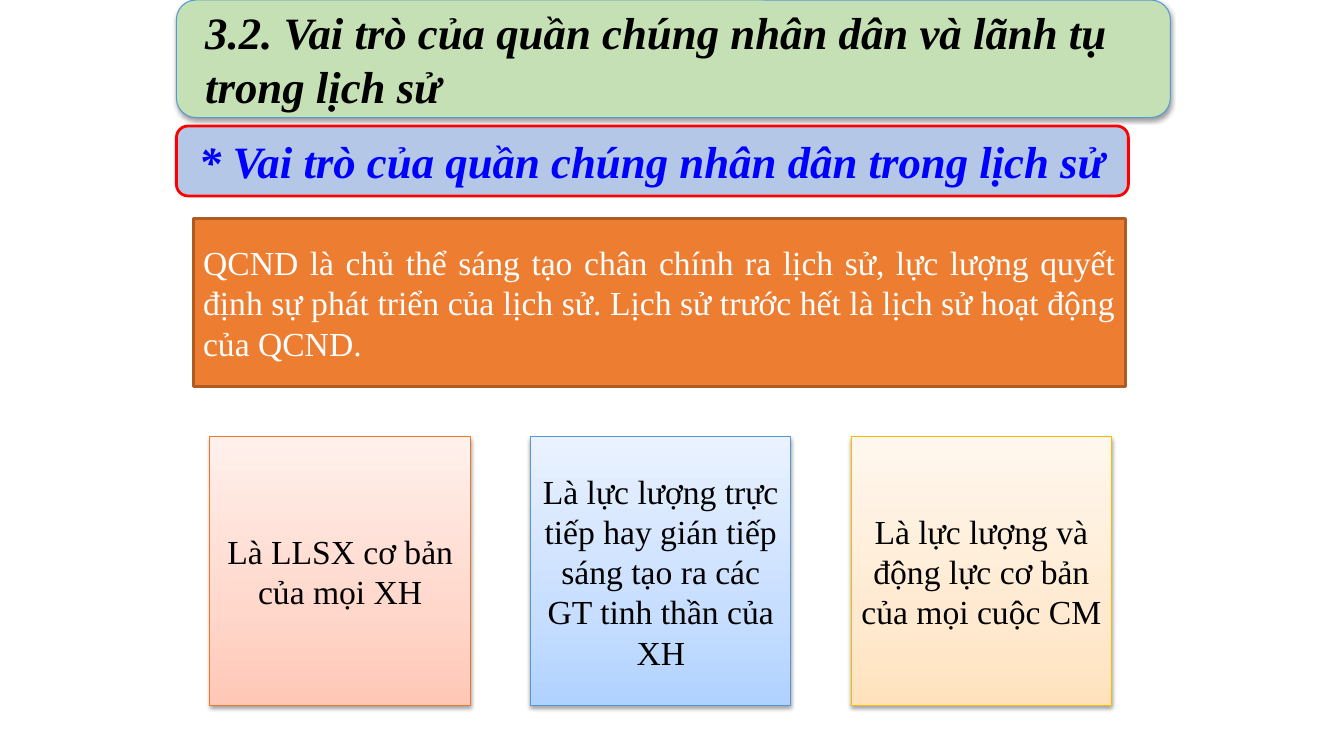
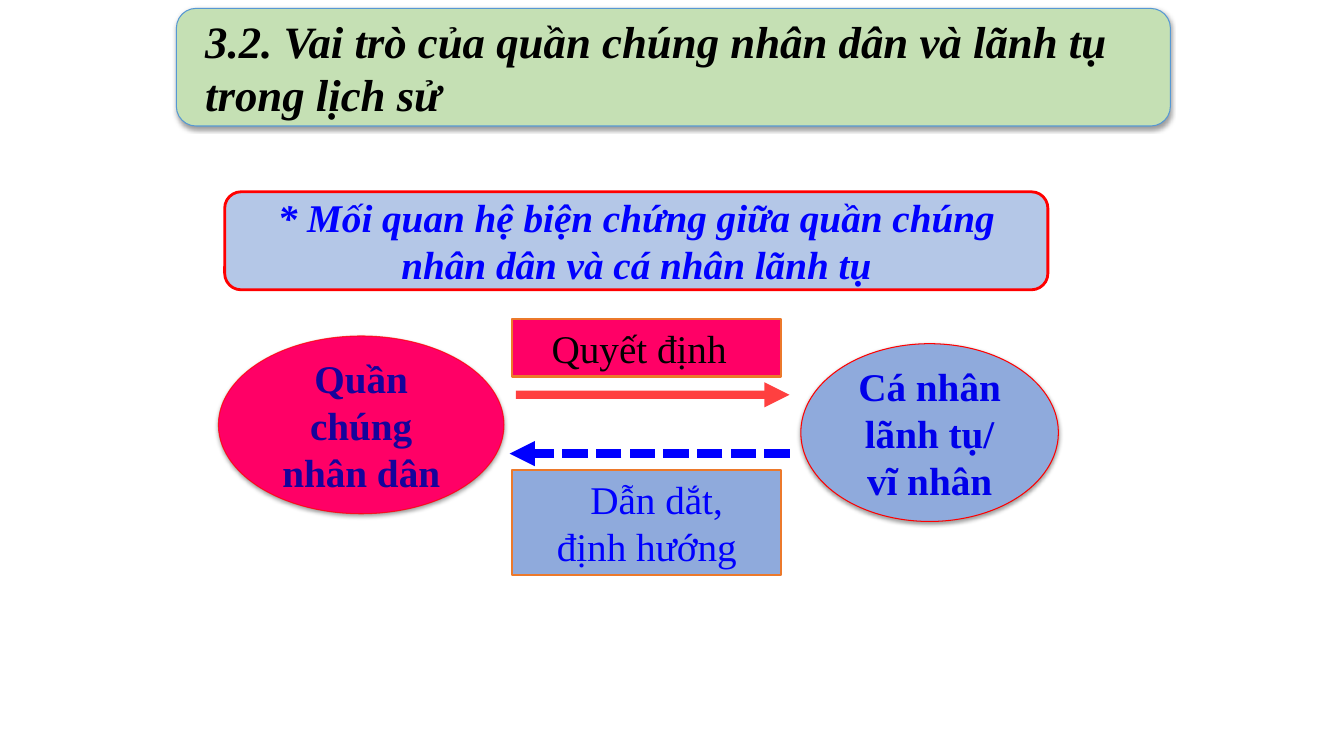
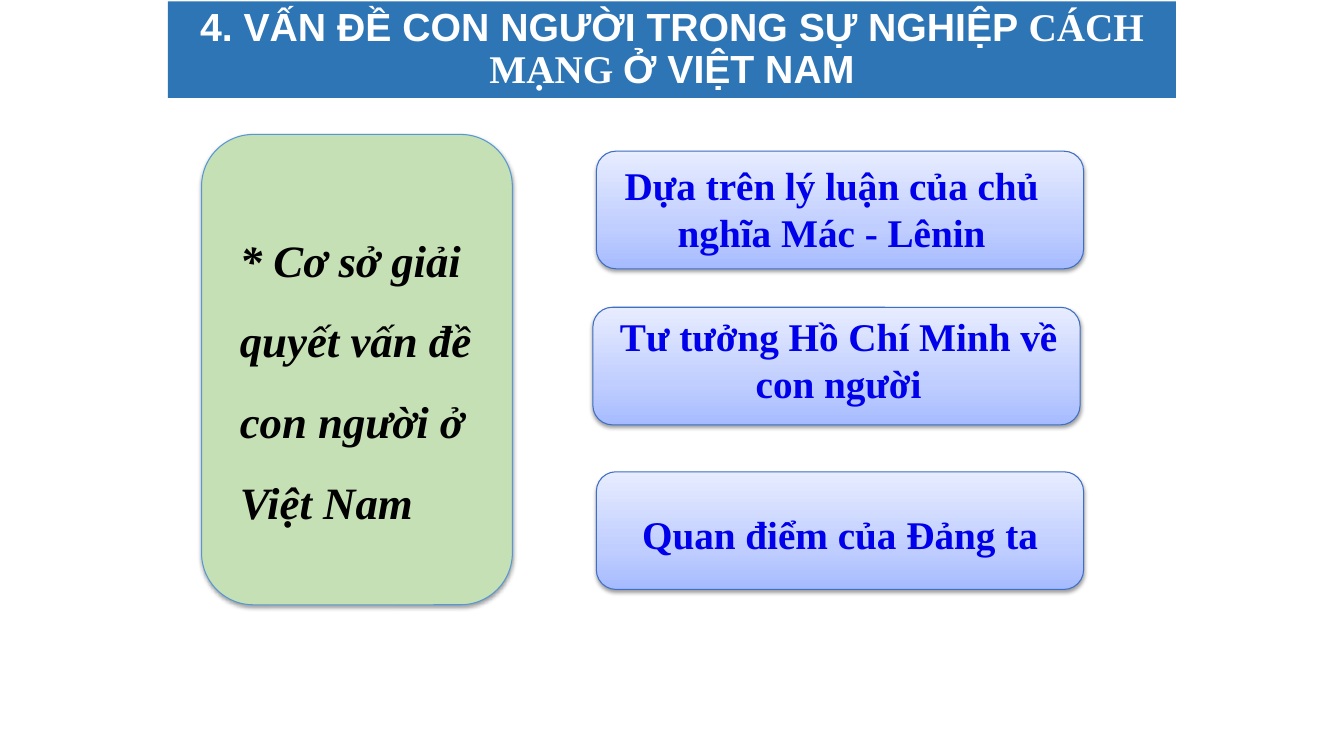
from copy import deepcopy

from pptx import Presentation
from pptx.dml.color import RGBColor
from pptx.enum.dml import MSO_LINE
from pptx.enum.shapes import MSO_CONNECTOR, MSO_SHAPE as PRESET
from pptx.enum.text import MSO_ANCHOR as ANCHOR, PP_ALIGN as ALIGN
from pptx.oxml import parse_xml
from pptx.oxml.ns import nsdecls, qn
from pptx.util import Pt

SERIF = "Times New Roman"
GREEN, PALE_BLUE, MID_BLUE, PINK = "C5E0B4", "B4C7E7", "8FAADC", "FF0066"
RED, BLUE, DEEP_BLUE, SKY, ORANGE = "FF0000", "0000FF", "0000EA", "5698D3", "EC792B"
BLACK, WHITE = "000000", "FFFFFF"
LAVENDER = ("A6BBFF", "C0CEFF", "E7ECFF")
STOPS = (0, 0.35, 1)

SHADOW = (f'<a:effectLst {nsdecls("a")}><a:outerShdw blurRad="40000" dist="20000" '
          'dir="5400000" rotWithShape="0"><a:srgbClr val="000000">'
          '<a:alpha val="38000"/></a:srgbClr></a:outerShdw></a:effectLst>')
FAINT = f'<a:alpha {nsdecls("a")} val="74000"/>'
ARROWHEAD = f'<a:tailEnd {nsdecls("a")} type="triangle"/>'

PLAIN = {"size": Pt(24)}
LARGE = {"size": Pt(28)}
STRONG = {"size": Pt(28), "bold": True}
HEADING = {"size": Pt(32), "bold": True, "italic": True}
CENTERED = {"alignment": ALIGN.CENTER}
LEFT = {"alignment": ALIGN.LEFT}
TOP = {"vertical_anchor": ANCHOR.TOP}
HEADING_INSETS = {"margin_left": Pt(16.5), "margin_right": Pt(16.5),
                  "margin_top": 0, "margin_bottom": 0}

rgb = RGBColor.from_string


def add_box(slide, preset, at, fill, line=None, width=0.75, shadow=False):
    """Add a shape; a tuple as fill gives a gradient rising from the bottom."""
    box = slide.shapes.add_shape(preset, *map(Pt, at))
    box.shadow.inherit = False
    if isinstance(fill, tuple):
        box.fill.gradient()
        box.fill.gradient_angle = 90
        stops = box.element.spPr.find(qn("a:gradFill")).find(qn("a:gsLst"))
        stops.append(deepcopy(stops[-1]))
        for stop, position, color in zip(box.fill.gradient_stops, STOPS, fill):
            stop.position = position
            stop.color.rgb = rgb(color)
    else:
        box.fill.solid()
        box.fill.fore_color.rgb = rgb(fill)
    if line:
        box.line.color.rgb = rgb(line)
        box.line.width = Pt(width)
    else:
        box.line.fill.background()
    if shadow:
        effects = box.element.spPr.find(qn("a:effectLst"))
        effects.getparent().replace(effects, parse_xml(SHADOW))
    return box


def write(box, paragraphs, color, font, layout=CENTERED, frame=None):
    """Fill a shape with paragraphs, each a list of (text, typeface) runs."""
    text_frame = box.text_frame
    text_frame.word_wrap = True
    for key, value in (frame or {}).items():
        setattr(text_frame, key, value)
    for number, runs in enumerate(paragraphs):
        paragraph = text_frame.add_paragraph() if number else text_frame.paragraphs[0]
        for key, value in layout.items():
            setattr(paragraph, key, value)
        for text, typeface in runs:
            run = paragraph.add_run()
            run.text = text
            run.font.name = typeface
            run.font.color.rgb = rgb(color)
            for key, value in font.items():
                setattr(run.font, key, value)


deck = Presentation()
deck.slide_width, deck.slide_height = Pt(960), Pt(540)
masses, relation, basis = [deck.slides.add_slide(deck.slide_layouts[6]) for _ in range(3)]

# Section heading and topic of the first two slides
for slide, heading_top, topic_at, topic, topic_size in (
    (masses, 0, (126, 90, 680, 50),
     "* Vai trò của quần chúng nhân dân trong lịch sử", 32),
    (relation, 6, (160.5, 137, 588, 70),
     "* Mối quan hệ biện chứng giữa quần chúng nhân dân và cá nhân lãnh tụ", 28),
):
    heading = add_box(slide, PRESET.ROUNDED_RECTANGLE, (126, heading_top, 710, 84),
                      GREEN, SKY, shadow=True)
    write(heading, [[("3.2. Vai trò của quần chúng nhân dân và lãnh tụ trong lịch sử", SERIF)]],
          BLACK, HEADING, LEFT, HEADING_INSETS)
    topic_box = add_box(slide, PRESET.ROUNDED_RECTANGLE, topic_at, PALE_BLUE, RED, 2)
    write(topic_box, [[(topic, SERIF)]], BLUE, HEADING | {"size": Pt(topic_size)})

# Slide 1: the masses as makers of history
thesis = add_box(masses, PRESET.RECTANGLE, (138, 156, 666, 120), "ED7D31", "AF5C24", 2)
write(thesis, [[("QCND là chủ thể sáng tạo chân chính ra lịch sử, lực lượng quyết định sự phát "
                 "triển của lịch sử. Lịch sử trước hết là lịch sử hoạt động của QCND.", SERIF)]],
      WHITE, PLAIN, {"alignment": ALIGN.JUSTIFY})

for column, (role, shades, edge) in enumerate((
    ("Là LLSX cơ bản của mọi XH", ("FFC7B6", "FFD7CB", "FFF0EB"), ORANGE),
    ("Là lực lượng trực tiếp hay gián tiếp sáng tạo ra các GT tinh thần của XH",
     ("B0D2FF", "C7DEFF", "EAF2FF"), SKY),
    ("Là lực lượng và động lực cơ bản của mọi cuộc CM",
     ("FFE2BD", "FFEAD1", "FFF7EE"), "F9BC00"),
)):
    card = add_box(masses, PRESET.RECTANGLE, (150 + 229 * column, 312, 186, 192),
                   shades, edge, shadow=True)
    write(card, [[(role, SERIF)]], BLACK, PLAIN)

# Slide 2: the masses and their leaders
people = add_box(relation, PRESET.OVAL, (156, 240, 204, 127), PINK, RED, shadow=True)
write(people, [[("Quần chúng nhân dân", SERIF)]], "15039B", STRONG)
leader = add_box(relation, PRESET.OVAL, (572, 245.5, 184, 127), MID_BLUE, RED, shadow=True)
write(leader, [[("Cá nhân lãnh tụ/ vĩ nhân", SERIF)]], DEEP_BLUE, STRONG)

arrows = []
for start, end, y, color in ((368.5, 564, 282, RED), (564, 364, 324, BLUE)):
    arrow = relation.shapes.add_connector(MSO_CONNECTOR.STRAIGHT,
                                          Pt(start), Pt(y), Pt(end), Pt(y))
    arrow.line.color.rgb = rgb(color)
    arrow.line.width = Pt(6)
    arrows.append(arrow)
decides, guides = arrows
guides.line.dash_style = MSO_LINE.SQUARE_DOT
for arrow in arrows:
    arrow.line._get_or_add_ln().append(parse_xml(ARROWHEAD))
    arrow.element.spPr.append(parse_xml(f'<a:effectLst {nsdecls("a")}/>'))
for faint in (people, decides):
    outline = faint.element.spPr.find(qn("a:ln"))
    outline.find(qn("a:solidFill")).find(qn("a:srgbClr")).append(parse_xml(FAINT))

decides_label = add_box(relation, PRESET.RECTANGLE, (366, 228, 192, 41), PINK, ORANGE, 1.5)
write(decides_label, [[("Quyết định", SERIF)]], BLACK, LARGE, LEFT,
      TOP | {"margin_left": Pt(28)})
guides_label = add_box(relation, PRESET.RECTANGLE, (366, 336, 192, 75), MID_BLUE, ORANGE, 1.5)
write(guides_label, [[("Dẫn dắt,", SERIF)], [("định hướng", SERIF)]], BLUE, LARGE, frame=TOP)
guides_label.text_frame.paragraphs[0]._p.get_or_add_pPr().set("marL", str(Pt(14)))

# Slide 3: bases for solving the human question
banner = add_box(basis, PRESET.RECTANGLE, (120, 1, 720, 69), "2E75B6")
write(banner, [[("4. VẤN ĐỀ CON NGƯỜI TRONG SỰ NGHIỆP ", "Arial"), ("CÁCH MẠNG ", SERIF),
                ("Ở VIỆT NAM", "Arial")]],
      WHITE, STRONG, CENTERED | {"line_spacing": 0.9})

question = add_box(basis, PRESET.ROUNDED_RECTANGLE, (144, 96, 222, 336),
                   GREEN, SKY, shadow=True)
write(question, [[("* Cơ sở giải quyết vấn đề con người ở Việt Nam", SERIF)]],
      BLACK, HEADING, LEFT | {"line_spacing": 1.5}, HEADING_INSETS | {"margin_bottom": Pt(4)})

for source, card_at, text_at in (
    ("Dựa trên lý luận của chủ nghĩa Mác - Lênin", (426, 108), (423, 112, 342, 75)),
    ("Tư tưởng Hồ Chí Minh về con người", (423.5, 219.5), (425, 219.5, 348, 75)),
    ("Quan điểm của Đảng ta", (426, 337), (426, 361, 348, 41)),
):
    add_box(basis, PRESET.ROUNDED_RECTANGLE, (*card_at, 348, 84),
            LAVENDER, "3F6FC3", shadow=True)
    caption = basis.shapes.add_textbox(*map(Pt, text_at))
    write(caption, [[(source, SERIF)]], DEEP_BLUE, STRONG)

deck.save("out.pptx")
